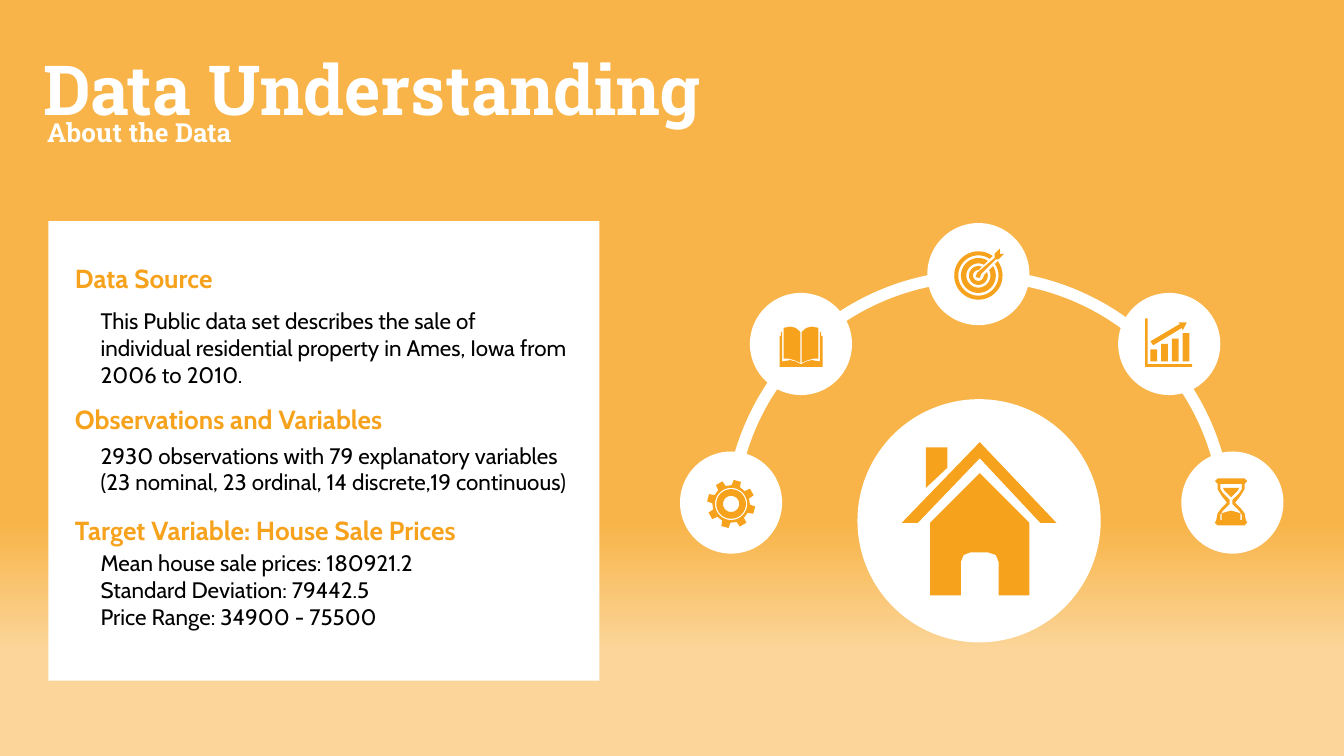
from math import asin, cos, pi, radians, sin

from pptx import Presentation
from pptx.dml.color import RGBColor
from pptx.enum.shapes import MSO_SHAPE
from pptx.enum.text import MSO_ANCHOR, MSO_AUTO_SIZE, PP_ALIGN
from pptx.oxml.ns import qn
from pptx.util import Inches, Pt

THEME = dict(
    white=RGBColor.from_string("FFFFFF"), black=RGBColor.from_string("000000"),
    orange=RGBColor.from_string("F6A21D"),
    sky=RGBColor.from_string("F8B448"), glow=RGBColor.from_string("FBD599"),
    head="Roboto Slab", body="Cabin",
    title=Pt(37), subtitle=Pt(14), heading=Pt(14), text=Pt(12))

prs = Presentation()
prs.slide_width, prs.slide_height = Inches(10), Inches(10 * 9 / 16)
s = prs.slides.add_slide(prs.slide_layouts[1])
U = prs.slide_width / 100  # square grid, 100 columns across


def add(kind, l, t, w, h, adj=()):
    """Add a plain white shape, or a text box when kind is None; grid units."""
    box = [round(v * U) for v in (l, t, w, h)]
    if kind is None:
        sp = s.shapes.add_textbox(*box)
        sp.text_frame.word_wrap = True
        return sp
    sp = s.shapes.add_shape(kind, *box)
    for i, v in enumerate(adj):
        sp.adjustments[i] = v
    sp.shadow.inherit = False
    sp.fill.solid()
    sp.fill.fore_color.rgb = THEME["white"]
    sp.line.fill.background()
    return sp


def icon(contours):
    """Draw closed contours as one orange outline; inner ones cut holes."""
    contours = [[(round(x * U), round(y * U)) for x, y in c] for c in contours]
    fb = s.shapes.build_freeform(*contours[0][0], scale=1.0)
    for i, c in enumerate(contours):
        if i:
            fb.move_to(*c[0])
        fb.add_line_segments(c[1:], close=True)
    sp = fb.convert_to_shape()
    sp.shadow.inherit = False
    sp.fill.solid()
    sp.fill.fore_color.rgb = THEME["orange"]
    sp.line.fill.background()


# Background
fill = s.background.fill
fill.gradient()
fill.gradient_angle = 270
for stop, pos, colour in zip(fill.gradient_stops, (0.69, 0.86), ("sky", "glow")):
    stop.position, stop.color.rgb = pos, THEME[colour]

# Title and subtitle
for ph, box, text, size, spacing in (
        (s.shapes.title, (2.2, 4, 91.7, 6.3), "Data Understanding", "title", 0.8),
        (s.placeholders[1], (2.5, 8.4, 89.3, 3.1), "About the Data", "subtitle", 0.9)):
    ph.left, ph.top, ph.width, ph.height = [round(v * U) for v in box]
    tf = ph.text_frame
    tf.auto_size, tf.vertical_anchor = MSO_AUTO_SIZE.NONE, MSO_ANCHOR.MIDDLE
    p = tf.paragraphs[0]
    p.alignment, p.line_spacing, p.space_before = PP_ALIGN.LEFT, spacing, Pt(7.5)
    pPr = p._p.get_or_add_pPr()
    pPr.set("marL", "0")
    pPr.set("indent", "0")
    pPr.append(pPr.makeelement(qn("a:buNone"), {}))
    r = p.add_run()
    r.text = text
    r.font.name, r.font.size, r.font.bold = THEME["head"], THEME[size], True
    r.font.color.rgb = THEME["white"]

# White card with its section headings
add(MSO_SHAPE.RECTANGLE, 3.6, 16.45, 41, 34.2)
for top, text in ((19, "Data Source"), (29.55, "Observations and Variables"),
                  (37.8, "Target Variable: House Sale Prices")):
    r = add(None, 4.6, top, 38.3, 3.4).text_frame.paragraphs[0].add_run()
    r.text = text
    r.font.name, r.font.size, r.font.bold = THEME["body"], THEME["heading"], True
    r.font.color.rgb = THEME["orange"]

# Facts, one group under each heading
facts = (
    ("This Public data set describes the sale of individual residential "
     "property in Ames, Iowa from 2006 to 2010.",),
    ("2930 observations with 79 explanatory variables "
     "(23 nominal, 23 ordinal, 14 discrete,19 continuous)",),
    ("Mean house sale prices: 180921.2", "Standard Deviation: 79442.5",
     "Price Range: 34900 - 75500"))
tf = add(None, 6.5, 22.35, 36.8, 31.3).text_frame
for g, group in enumerate(facts):
    for i, text in enumerate(group):
        p = tf.add_paragraph() if g or i else tf.paragraphs[0]
        if g and not i:
            p.space_before = Pt(29)
        r = p.add_run()
        r.text = text
        r.font.name, r.font.size = THEME["body"], THEME["text"]
        r.font.color.rgb = THEME["black"]

# Arch and discs
add(MSO_SHAPE.OVAL, 63.8, 29.7, 18.1, 18.1)
add(MSO_SHAPE.BLOCK_ARC, 53.9, 20.1, 37.8, 37.8, (108, 0.136, 0.023))
for l, t in ((50.6, 33.6), (55.8, 21.8), (69, 16.6), (83.2, 21.8), (87.9, 33.6)):
    add(MSO_SHAPE.OVAL, l, t, 7.6, 7.6)

# Gear: eight teeth around three circles
cx, cy = 54.4, 37.5
teeth = [(cx + rad * cos(radians(a)), cy + rad * sin(radians(a)))
         for k in range(8)
         for rad, a in ((1.4, 45 * k + 2), (1.8, 45 * k + 6),
                        (1.8, 45 * k + 24), (1.4, 45 * k + 28))]
icon([teeth] + [[(cx + rad * cos(pi * k / 24), cy + rad * sin(pi * k / 24))
                 for k in range(48)] for rad in (1.2, 1.1, 0.6)])

# Book: page and cover, mirrored about the spine
spine = 59.6
page = [(58.3, 24.4), (58.8, 24.3), (59.2, 24.4), (59.55, 24.7), (59.55, 27),
        (59.1, 26.8), (58.7, 26.7), (58.3, 26.7)]
cover = [(58, 25), (58.1, 25), (58.1, 24.7), (58.2, 24.7), (58.2, 26.9),
         (58.8, 26.8), (59.2, 26.9), (spine, 27.1), (spine, 27.3), (58, 27.3)]
icon([page, cover] + [[(2 * spine - x, y) for x, y in c] for c in (page, cover)])

# Target: rings left open where the arrow enters
cx, cy = 72.8, 20.5
rings = []
for outer, inner in ((1.8, 1.5), (1.3, 0.9), (0.7, 0.4)):
    ring = []
    for rad, order in ((outer, range(41)), (inner, range(40, -1, -1))):
        gap = asin(0.27 / rad)
        ring += [(cx + rad * cos(a), cy + rad * sin(a))
                 for a in (gap - pi / 4 + (2 * pi - 2 * gap) * k / 40 for k in order)]
    rings.append(ring)
icon(rings + [[(74.4, 18.5), (74.4, 18.9), (74.7, 18.9), (74.3, 19.3), (74.1, 19.3),
               (73, 20.4), (72.9, 20.7), (72.6, 20.6), (72.7, 20.3), (74, 19.2),
               (74, 18.9)]])

# Bar chart icon: bars, trend arrow and axes
bars = [[(l, t), (l + 0.5, t), (l + 0.5, 26.9), (l, 26.9)]
        for l, t in ((85.6 + 0.8 * k, 26 - 0.4 * k) for k in range(4))]
icon(bars + [
    [(87.7, 24), (88.3, 24), (88, 24.6), (87.95, 24.4), (85.8, 25.7), (85.6, 25.4),
     (87.8, 24.1)],
    [(85.2, 23.7), (85.4, 23.7), (85.4, 27.1), (88.7, 27.1), (88.7, 27.3), (85.2, 27.3)]])

# Hourglass: right halves of glass, hollow and sand, mirrored about the axis
axis = 91.6
halves = (
    [(axis, 35.6), (92.6, 35.6), (92.8, 35.8), (92.6, 36), (92.6, 36.4), (92.3, 36.9),
     (91.9, 37.4), (92.3, 37.8), (92.6, 38.2), (92.7, 38.7), (92.8, 38.9),
     (92.6, 39.1), (axis, 39.1)],
    [(axis, 36), (92.4, 36), (92.4, 36.4), (92.2, 36.7), (91.7, 37.2), (91.7, 37.5),
     (92.2, 38), (92.4, 38.3), (92.4, 38.7), (axis, 38.7)],
    [(axis, 36.3), (92.2, 36.3), (92.1, 36.5), (axis, 37)],
    [(axis, 38), (92, 38.1), (92.3, 38.2), (92.3, 38.7), (axis, 38.7)])
icon([h + [(2 * axis - x, y) for x, y in reversed(h)] for h in halves])

# House: walls with door, chimney, roof
icon([
    [(72.9, 35.2), (76.6, 38.9), (76.6, 44.3), (74.3, 44.3), (74.3, 41.8), (74.1, 41.3),
     (73.5, 41.1), (72.2, 41.1), (71.7, 41.3), (71.5, 41.8), (71.5, 44.3),
     (69.2, 44.3), (69.2, 38.9)],
    [(68.9, 33.3), (70.5, 33.3), (70.5, 34.8), (68.9, 36.3)],
    [(72.9, 32.9), (78.6, 38.9), (77.4, 38.9), (72.9, 34.1), (68.3, 38.9), (67.1, 38.9)]])

prs.save("out.pptx")
